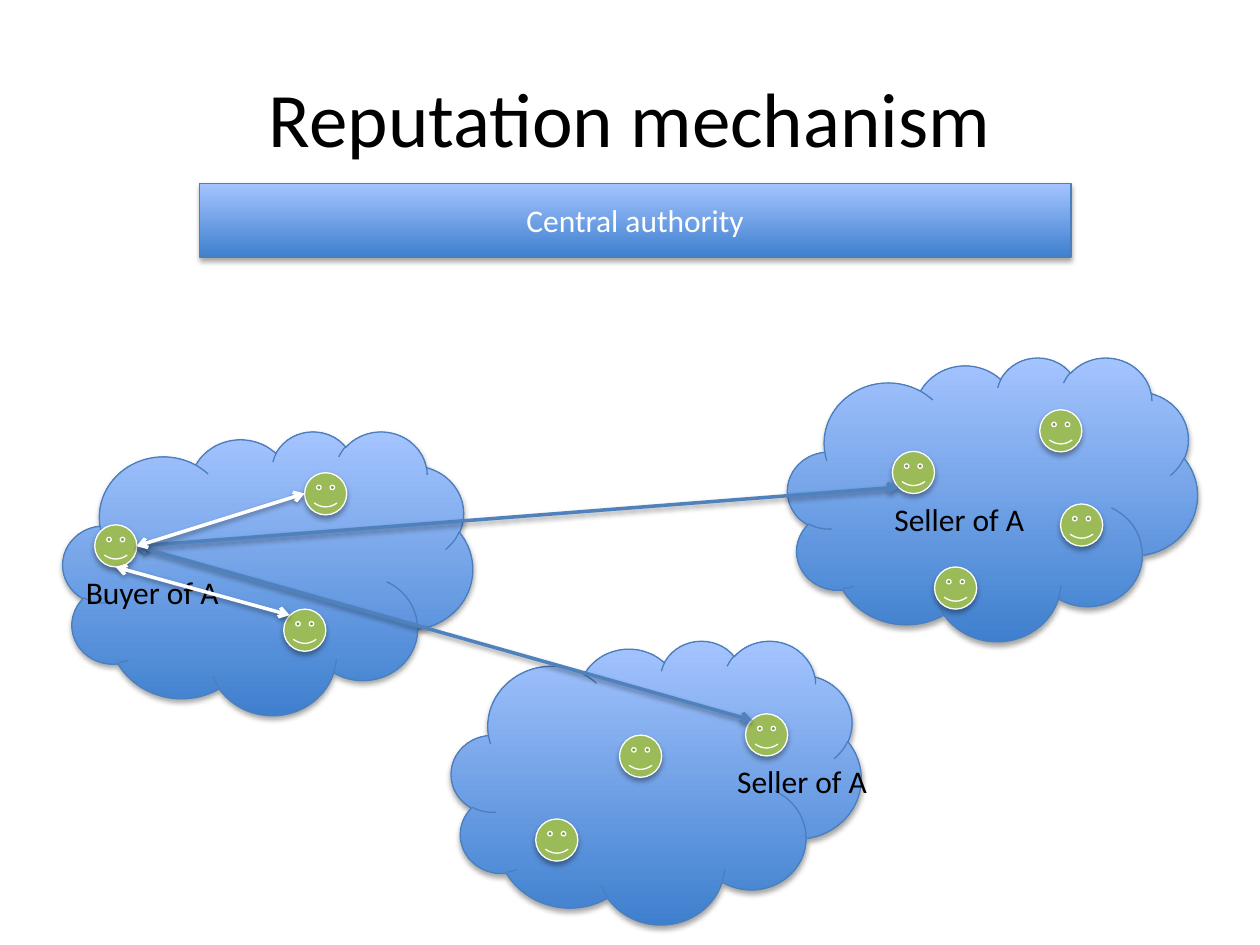
"""Build the slide on the reputation mechanism between buyers and sellers."""
from typing import NamedTuple

from lxml.etree import SubElement
from pptx import Presentation
from pptx.dml.color import RGBColor
from pptx.enum.shapes import MSO_CONNECTOR as Conn, MSO_SHAPE as Shp
from pptx.enum.text import MSO_ANCHOR as Anchor, PP_ALIGN as Align
from pptx.oxml.ns import qn
from pptx.util import Cm, Pt

BLACK = RGBColor(0x00, 0x00, 0x00)
WHITE = RGBColor(0xFF, 0xFF, 0xFF)
DEEP_BLUE = RGBColor(0x3F, 0x80, 0xCE)
PALE_BLUE = RGBColor(0xA4, 0xC4, 0xFF)
EDGE_BLUE = RGBColor(0x4B, 0x7E, 0xBC)
LINK_BLUE = RGBColor(0x4F, 0x81, 0xBD)
GREEN = RGBColor(0x9B, 0xBB, 0x59)


class Box(NamedTuple):
    x: float
    y: float
    w: float
    h: float


class Label(NamedTuple):
    text: str
    box: Box


class Link(NamedTuple):
    start: tuple[float, float]
    end: tuple[float, float]
    color: RGBColor


CLOUD_SIZE = (8.26, 5.72)
FACE_SIZE = (0.85, 0.85)
CLOUDS = [(1.27, 8.69), (15.88, 7.2), (9.1, 12.91)]
FACES = [
    (6.14, 9.53), (5.72, 12.28), (1.91, 10.58),
    (15.03, 14.39), (10.8, 16.51), (12.49, 14.82),
    (20.96, 8.26), (17.99, 9.1), (21.38, 10.16), (18.84, 11.43),
]
LABELS = [
    Label("Seller of A", Box(14.61, 15.24, 3.81, 1.02)),
    Label("Buyer of A", Box(1.48, 11.43, 3.73, 1.02)),
    Label("Seller of A", Box(17.78, 9.95, 3.81, 1.02)),
]
BUYER_RIGHT = (2.75, 11.01)
BUYER_BOTTOM = (2.33, 11.43)
LINKS = [
    Link(BUYER_RIGHT, (18.11, 9.82), LINK_BLUE),
    Link(BUYER_RIGHT, (15.16, 14.52), LINK_BLUE),
    Link(BUYER_RIGHT, (6.14, 9.95), WHITE),
    Link(BUYER_BOTTOM, (5.84, 12.4), WHITE),
]


def write(sp, text: str, size: float = 18, color: RGBColor = BLACK,
          align=Align.LEFT, anchor=Anchor.TOP) -> None:
    tf = sp.text_frame
    tf.word_wrap = True
    tf.vertical_anchor = anchor
    p = tf.paragraphs[0]
    p.alignment = align
    r = p.add_run()
    r.text = text
    r.font.name = "Calibri"
    r.font.size = Pt(size)
    r.font.color.rgb = color


def add_text(s, box: Box, text: str, **fmt) -> None:
    write(s.shapes.add_textbox(*map(Cm, box)), text, **fmt)


def add_shadow(sp, dist: float, alpha: int) -> None:
    effects = SubElement(sp._element.spPr, qn("a:effectLst"))
    shadow = SubElement(effects, qn("a:outerShdw"), blurRad=str(Pt(3.1)),
                        dist=str(Pt(dist)), dir="5400000", rotWithShape="0")
    tint = SubElement(shadow, qn("a:srgbClr"), val=str(BLACK))
    SubElement(tint, qn("a:alpha"), val=str(alpha * 1000))


def add_figure(s, kind, box: Box, line: RGBColor, fill: RGBColor | None = None):
    sp = s.shapes.add_shape(kind, *map(Cm, box))
    if fill is None:
        sp.fill.gradient()
        sp.fill.gradient_angle = 90
        for stop, color in zip(sp.fill.gradient_stops, (DEEP_BLUE, PALE_BLUE)):
            stop.color.rgb = color
    else:
        sp.fill.solid()
        sp.fill.fore_color.rgb = fill
    sp.line.color.rgb = line
    sp.line.width = Pt(0.75)
    add_shadow(sp, 1.8, 35)
    return sp


def add_link(s, link: Link) -> None:
    cx = s.shapes.add_connector(Conn.STRAIGHT, *map(Cm, link.start + link.end))
    cx.line.color.rgb = link.color
    cx.line.width = Pt(2)
    for end in ("a:headEnd", "a:tailEnd"):
        SubElement(cx.line._get_or_add_ln(), qn(end), type="arrow")
    add_shadow(cx, 1.6, 38)


def main() -> None:
    prs = Presentation()
    prs.slide_width, prs.slide_height = Cm(25.4), Cm(19.05)
    s = prs.slides.add_slide(prs.slide_layouts[6])

    add_text(s, Box(1.27, 0.76, 22.86, 3.18), "Reputation mechanism",
             size=44, align=Align.CENTER, anchor=Anchor.MIDDLE)
    authority = add_figure(s, Shp.RECTANGLE, Box(4.02, 3.7, 17.57, 1.48), EDGE_BLUE)
    write(authority, "Central authority", color=WHITE,
          align=Align.CENTER, anchor=Anchor.MIDDLE)
    for at in CLOUDS:
        add_figure(s, Shp.CLOUD, Box(*at, *CLOUD_SIZE), EDGE_BLUE)
    for at in FACES:
        add_figure(s, Shp.SMILEY_FACE, Box(*at, *FACE_SIZE), WHITE, GREEN)
    for label in LABELS:
        add_text(s, label.box, label.text)
    for link in LINKS:
        add_link(s, link)
    prs.save("out.pptx")


main()
